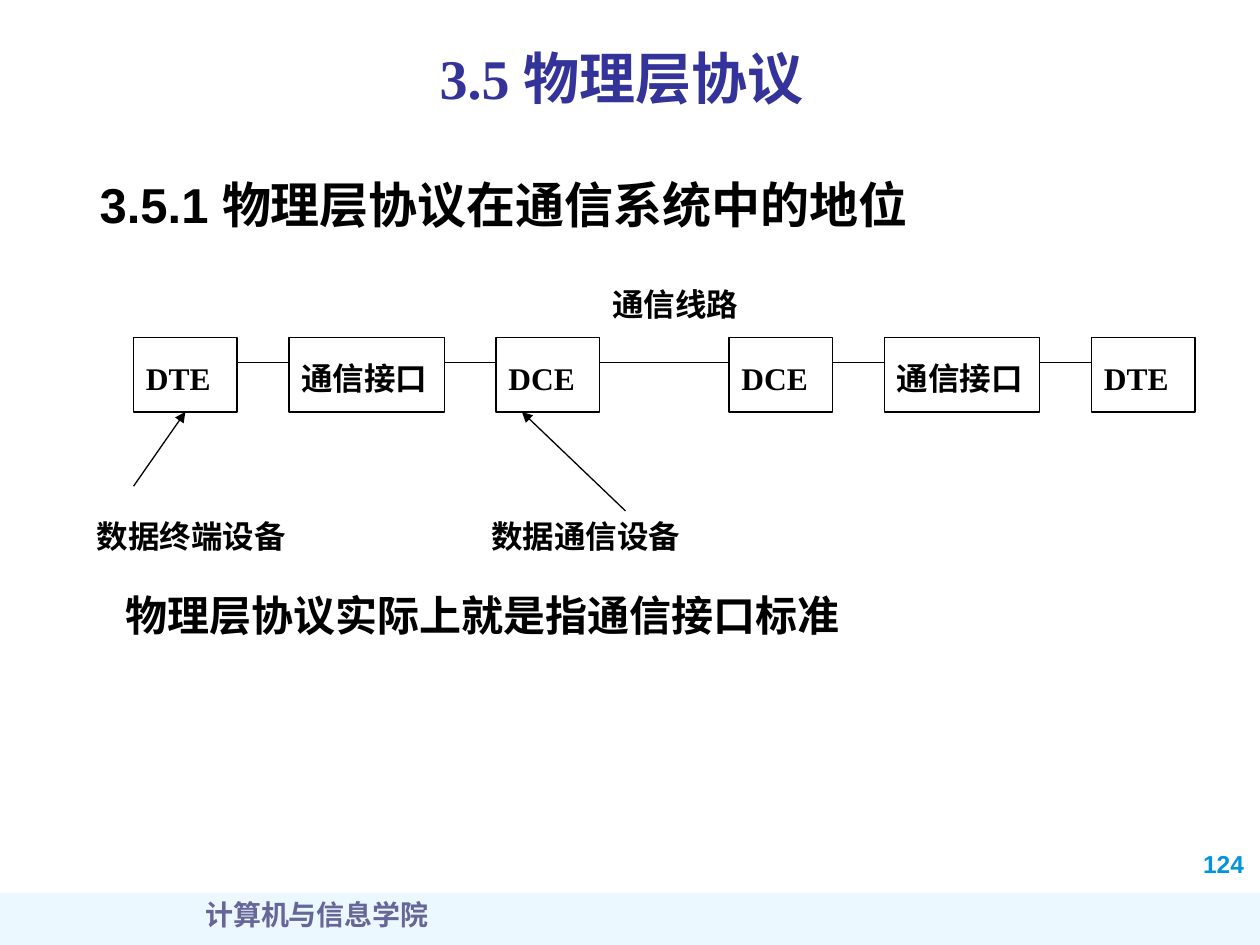
from lxml.etree import SubElement as Sub, Element as Elem
from pptx import Presentation
from pptx.dml.color import RGBColor as RGB
from pptx.enum.shapes import MSO_CONNECTOR as Conn, MSO_SHAPE as Form
from pptx.enum.text import MSO_ANCHOR as Anchor, PP_ALIGN as Align
from pptx.oxml.ns import qn
from pptx.util import Inches, Pt

SERIF, SANS = "Times New Roman", "Arial"
BLACK, WHITE, NAVY = "000000", "FFFFFF", "333399"


def tint(code):
    return RGB.from_string(code)


def write(frame, text, size=18, font=SANS, color=BLACK, align=Align.LEFT,
          space=None, drop=0, mid=False, wrap=True, tab=None, glow=False):
    """Fill a text frame with one bold paragraph."""
    frame.word_wrap = wrap
    frame.vertical_anchor = Anchor.MIDDLE if mid else Anchor.TOP
    frame.margin_left = frame.margin_right = Inches(0.1)
    frame.margin_top = Inches(0.05 + drop)
    frame.margin_bottom = Inches(0.05)
    para = frame.paragraphs[0]
    para.alignment = align
    if space:
        para.line_spacing = space
    if tab:
        stops = Sub(para._p.get_or_add_pPr(), qn("a:tabLst"))
        Sub(stops, qn("a:tab"), pos=str(Inches(tab)), algn="l")
    run = para.add_run()
    run.text = text
    face = run.font
    face.size, face.bold, face.name = Pt(size), True, font
    face.color.rgb = tint(color)
    if glow:
        # Soft shadow behind the letters
        effect = Elem(qn("a:effectLst"))
        shade = Sub(effect, qn("a:outerShdw"), dist="25400", dir="2700000")
        Sub(shade, qn("a:srgbClr"), val="C0C0C0")
        run._r.rPr.find(qn("a:solidFill")).addnext(effect)


class Board:
    """Style and slide; places are percent of the slide or grid cells."""
    left, top = 10.6, 35.73     # grid origin, percent
    col, row = 4.11, 2.62       # grid cell, percent
    weight = 0.75

    def __init__(self, deck):
        self.wide, self.high = deck.slide_width, deck.slide_height
        self.slide = deck.slides.add_slide(deck.slide_layouts[6])

    def place(self, x, y):
        return int(self.wide * x / 100), int(self.high * y / 100)

    def cell(self, col, row):
        return self.place(self.left + col * self.col, self.top + row * self.row)

    def text(self, x, y, w, h, words, **form):
        box = self.slide.shapes.add_textbox(*self.place(x, y), *self.place(w, h))
        write(box.text_frame, words, **form)

    def rect(self, spot, size, fill):
        shape = self.slide.shapes.add_shape(Form.RECTANGLE, *spot, *size)
        shape.shadow.inherit = False
        shape.fill.solid()
        shape.fill.fore_color.rgb = tint(fill)
        shape.line.fill.background()
        return shape

    def band(self, x, y, w, h, fill, alpha):
        shape = self.rect(self.place(x, y), self.place(w, h), fill)
        code = shape._element.spPr.find(".//" + qn("a:srgbClr"))
        Sub(code, qn("a:alpha"), val=str(alpha * 1000))

    def node(self, col, span, words):
        size = self.place(span * self.col, 3 * self.row)
        shape = self.rect(self.cell(col, 0), size, WHITE)
        shape.line.color.rgb = tint(BLACK)
        shape.line.width = Pt(self.weight)
        write(shape.text_frame, words, font=SERIF, align=Align.JUSTIFY,
              space=1.3, drop=0.03)
        return shape

    def wire(self, start, end, arrow=False, goal=None):
        link = self.slide.shapes.add_connector(
            Conn.STRAIGHT, *self.cell(*start), *self.cell(*end))
        link.line.color.rgb = tint(BLACK)
        link.line.width = Pt(self.weight)
        if arrow:
            Sub(link.line._get_or_add_ln(), qn("a:tailEnd"), type="triangle")
        Sub(link._element.spPr, qn("a:effectLst"))
        if goal is not None:
            link.end_connect(goal, 2)


def main():
    deck = Presentation()
    deck.slide_width, deck.slide_height = Inches(10), Inches(7.5)
    board = Board(deck)

    # Footer and page number
    board.band(0, 94.5, 100, 5.5, "A7E2FF", 21)
    board.text(94.5, 88.8, 5.9, 4.4, "124", size=14, color="0094DE", drop=0.03)
    board.text(2.7, 94.3, 44.9, 6.7, "计算机与信息学院", size=16, font=SERIF,
               color="666699", align=Align.CENTER)

    # Headings and closing statement
    board.text(10.6, 3.2, 77.5, 10, "3.5 物理层协议", size=32, font=SERIF,
               color=NAVY, align=Align.CENTER, mid=True, glow=True)
    board.text(6.4, 15.3, 67.1, 8.7, "3.5.1 物理层协议在通信系统中的地位",
               size=28, align=Align.CENTER, space=1.3, drop=0.05, wrap=False)
    board.text(9, 61.2, 80.8, 6.7, "物理层协议实际上就是指通信接口标准",
               size=24, align=Align.JUSTIFY, drop=0.04)

    # Links between the devices
    for start, end in ((2, 3), (6, 7), (9, 11.5), (13.5, 14.5), (17.5, 18.5)):
        board.wire((start, 1), (end, 1))

    # Chain of devices
    chain = ((0, 2, "DTE"), (3, 3, "通信接口"), (7, 2, "DCE"),
             (11.5, 2, "DCE"), (14.5, 3, "通信接口"), (18.5, 2, "DTE"))
    nodes = [board.node(*part) for part in chain]

    # Pointers and captions
    board.wire((0, 6), (1, 3), arrow=True, goal=nodes[0])
    board.wire((9.5, 7), (7.5, 3), arrow=True)
    board.text(47.6, 27.9, 12.1, 6.5, "通信线路", font=SERIF,
               align=Align.JUSTIFY, space=1.3, drop=0.03, wrap=False)
    board.text(6.7, 54.1, 55.1, 5.3, "数据终端设备\t数据通信设备",
               mid=True, tab=3.13)

    deck.save("out.pptx")


if __name__ == "__main__":
    main()
